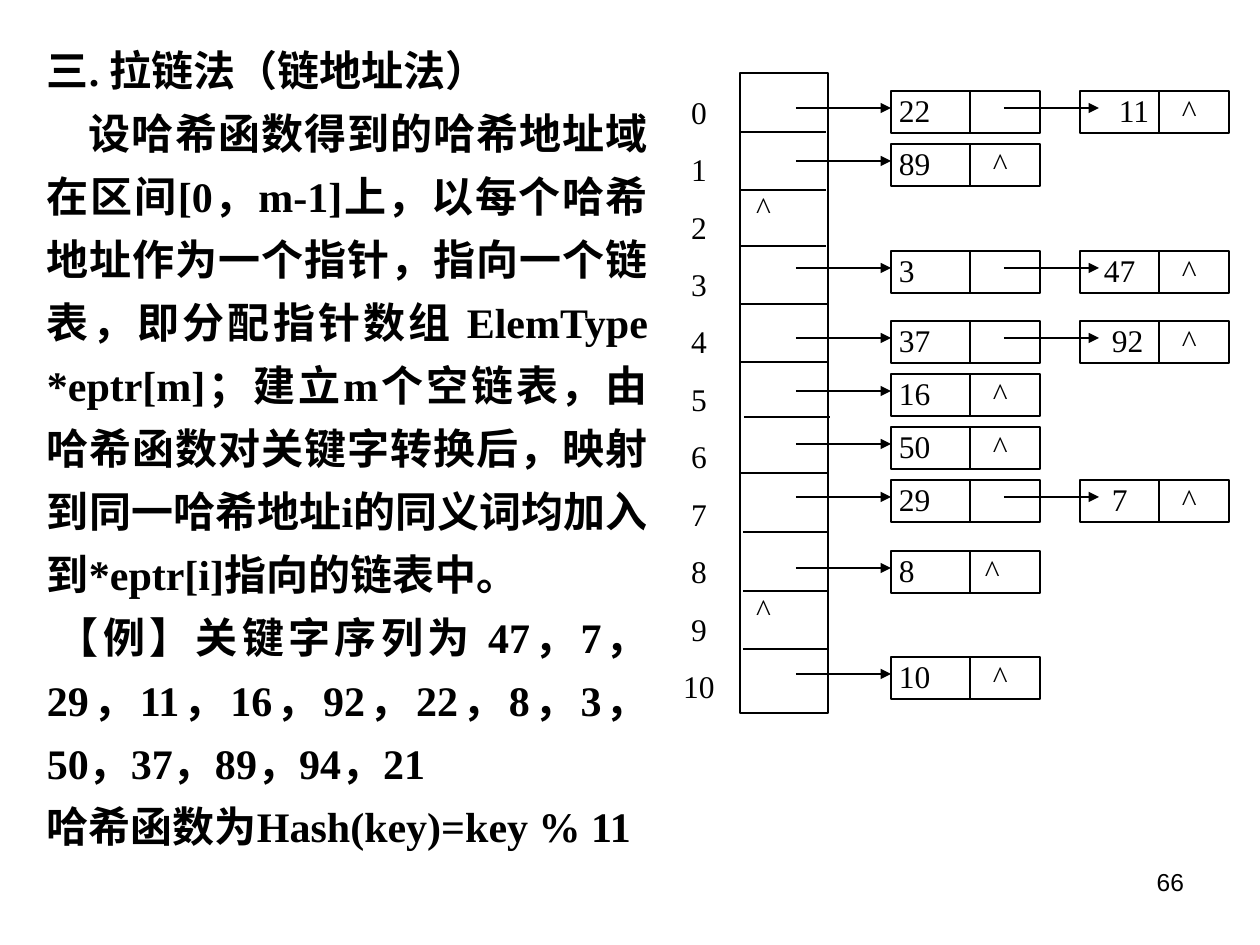
import pptx
import pptx.util
import pptx.dml.color
import pptx.enum.shapes
import pptx.enum.text
import pptx.oxml.ns
from lxml import etree

COLORS = {"ink": "000000"}
SERIF = "Times New Roman"
ALIGN = pptx.enum.text.PP_ALIGN
NODE_LEFTS = (891, 1080)
NODE_WIDTH, NODE_HEIGHT, KEY_WIDTH = 149, 42, 79
ARROW_LEFTS, ARROW_LENGTH, ARROW_DROP = (796, 1004), 95, 17
ARRAY_LEFT, ARRAY_TOP, ARRAY_WIDTH, ARRAY_HEIGHT = 740, 73, 88, 640
EMPTY_BUCKET_TOPS = (188, 590)
DIVIDERS = [(0, 132), (0, 190), (0, 246), (1, 304), (1, 362),
            (4, 417), (1, 473), (3, 532), (3, 591), (3, 649)]
# Each chain: top, then nodes of key, key offset and caret offset.
CHAINS = [
    (91, [("22", 8, None), ("11", 39, 102)]),
    (144, [("89", 8, 102)]),
    (251, [("3", 8, None), ("47", 24, 102)]),
    (321, [("37", 8, None), ("92", 32, 102)]),
    (374, [("16", 8, 102)]),
    (427, [("50", 8, 102)]),
    (480, [("29", 8, None), ("7", 32, 102)]),
    (551, [("8", 8, 94)]),
    (657, [("10", 8, 102)]),
]
BODY = [
    ("三. 拉链法（链地址法）", 0),
    ("设哈希函数得到的哈希地址域在区间[0，m-1]上，以每个哈希地址作为一个指针，"
     "指向一个链表，即分配指针数组 ElemType *eptr[m]；建立m个空链表，"
     "由哈希函数对关键字转换后，映射到同一哈希地址i的同义词均加入到*eptr[i]指向的链表中。", 42),
    ("【例】关键字序列为 47，7，29，11，16，92，22，8，3，50，37，89，94，21", 10),
    ("哈希函数为Hash(key)=key % 11", 0),
]


def px(value):
    """Turn px into EMU."""
    return pptx.util.Emu(round(value * 914400 / 126))


def ink():
    """Return the drawing colour."""
    return pptx.dml.color.RGBColor.from_string(COLORS["ink"])


def write(para, text, size=18, font=SERIF, bold=False, align=ALIGN.LEFT,
          spacing=None, indent=0, tab=None):
    """Fill and format one paragraph."""
    properties = para._p.get_or_add_pPr()
    if indent:
        properties.set("indent", str(px(indent)))
    if tab is not None:
        tabs = etree.SubElement(properties, pptx.oxml.ns.qn("a:tabLst"))
        etree.SubElement(tabs, pptx.oxml.ns.qn("a:tab"), pos=str(px(tab)), algn="l")
    para.alignment = align
    if spacing:
        para.line_spacing = spacing
    span = para.add_run()
    span.text = text
    span.font.size = pptx.util.Pt(size)
    span.font.name = font
    span.font.bold = bold
    span.font.color.rgb = ink()


def set_insets(frame, left=0, top=0, right=0, bottom=0):
    """Set the inner margins and anchor text at the top."""
    frame.margin_left, frame.margin_top = px(left), px(top)
    frame.margin_right, frame.margin_bottom = px(right), px(bottom)
    frame.vertical_anchor = pptx.enum.text.MSO_ANCHOR.TOP


def add_text(page, left, top, width, height, lines, wrap=True, inset=(0, 0), **style):
    """Add a text box holding pairs of text and first-line indent."""
    box = page.shapes.add_textbox(px(left), px(top), px(width), px(height))
    frame = box.text_frame
    frame.word_wrap = wrap
    set_insets(frame, *inset, *inset)
    for number, (text, indent) in enumerate(lines):
        para = frame.add_paragraph() if number else frame.paragraphs[0]
        write(para, text, indent=indent, **style)
    return box


def add_box(page, left, top, width, height):
    """Add an unfilled outlined rectangle."""
    box = page.shapes.add_shape(pptx.enum.shapes.MSO_SHAPE.RECTANGLE,
                                px(left), px(top), px(width), px(height))
    box.shadow.inherit = False
    box.fill.background()
    box.line.color.rgb = ink()
    box.line.width = pptx.util.Pt(0.75)
    return box


def add_line(page, start, end, arrow=False):
    """Add a straight line, with an arrowhead at its end if asked."""
    line = page.shapes.add_connector(pptx.enum.shapes.MSO_CONNECTOR.STRAIGHT,
                                     *map(px, start + end))
    line.line.color.rgb = ink()
    line.line.width = pptx.util.Pt(0.75)
    properties = line._element.spPr
    if arrow:
        outline = properties.find(pptx.oxml.ns.qn("a:ln"))
        etree.SubElement(outline, pptx.oxml.ns.qn("a:tailEnd"), type="triangle")
    etree.SubElement(properties, pptx.oxml.ns.qn("a:effectLst"))


def add_node(page, left, top, key, key_offset, caret_offset):
    """Add a list node with its key and, at a chain's end, a caret."""
    box = add_box(page, left, top, NODE_WIDTH, NODE_HEIGHT)
    set_insets(box.text_frame, left=key_offset)
    para = box.text_frame.paragraphs[0]
    if caret_offset is None:
        write(para, key)
    else:
        write(para, key + "\t^", tab=caret_offset - key_offset)
    divider = left + KEY_WIDTH
    add_line(page, (divider, top), (divider, top + NODE_HEIGHT))


def add_array(page):
    """Add the pointer array with its indexes and empty buckets."""
    add_box(page, ARRAY_LEFT, ARRAY_TOP, ARRAY_WIDTH, ARRAY_HEIGHT)
    for shift, y in DIVIDERS:
        left = ARRAY_LEFT + shift
        add_line(page, (left, y), (left + 86, y))
    for top in EMPTY_BUCKET_TOPS:
        add_text(page, ARRAY_LEFT + 16, top, 32, 36, [("^", 0)])
    indexes = [(str(number), 0) for number in range(11)]
    add_text(page, 683, ARRAY_TOP, 32, ARRAY_HEIGHT, indexes,
             wrap=False, align=ALIGN.CENTER, spacing=1.52)


def add_chains(page):
    """Add every chain's nodes, then the arrows leading to them."""
    for top, nodes in CHAINS:
        for left, node in zip(NODE_LEFTS, nodes):
            add_node(page, left, top, *node)
    for top, nodes in CHAINS:
        y = top + ARROW_DROP
        for left, _ in zip(ARROW_LEFTS, nodes):
            add_line(page, (left, y), (left + ARROW_LENGTH, y), arrow=True)


def main():
    """Build the slide on separate chaining and save it."""
    deck = pptx.Presentation()
    deck.slide_width, deck.slide_height = px(1260), px(945)
    page = deck.slides.add_slide(deck.slide_layouts[6])
    add_text(page, 903, 861, 294, 66, [("66", 0)], inset=(13, 6),
             size=14, font="Arial", align=ALIGN.RIGHT)
    body = add_text(page, 34, 26, 627, 839, BODY, inset=(13, 6),
                    size=24, bold=True, align=ALIGN.JUSTIFY, spacing=1.25)
    body.text_frame.auto_size = pptx.enum.text.MSO_AUTO_SIZE.SHAPE_TO_FIT_TEXT
    add_array(page)
    add_chains(page)
    deck.save("out.pptx")


if __name__ == "__main__":
    main()
